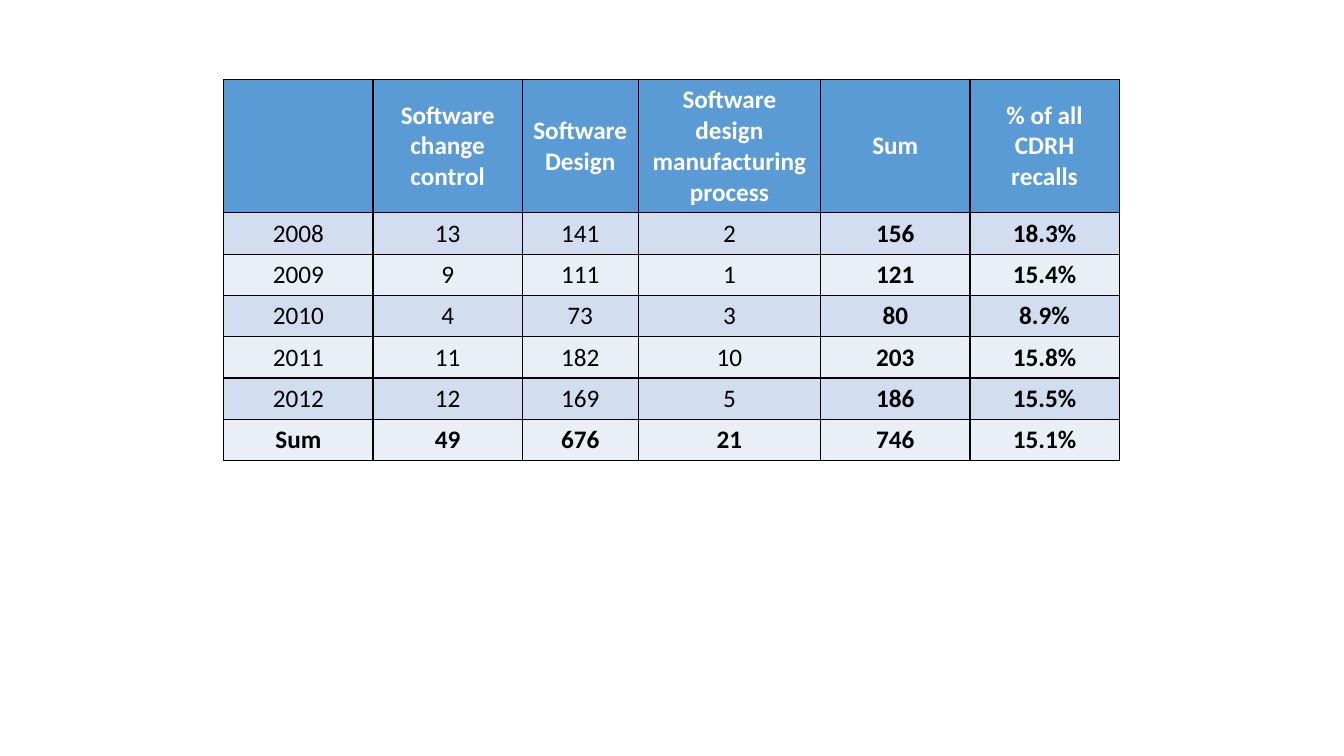
from dataclasses import dataclass

from lxml import etree
from pptx import Presentation
from pptx.dml.color import RGBColor
from pptx.enum.text import MSO_ANCHOR, PP_ALIGN
from pptx.oxml.ns import qn
from pptx.table import _Cell
from pptx.util import Inches, Pt

CENTER = PP_ALIGN.CENTER
MIDDLE = MSO_ANCHOR.MIDDLE
BLANK_LAYOUT = 6

BLACK = RGBColor(0x00, 0x00, 0x00)
WHITE = RGBColor(0xFF, 0xFF, 0xFF)
HEADER_BLUE = RGBColor(0x5B, 0x9B, 0xD5)
BANDS = (RGBColor(0xD2, 0xDE, 0xEF), RGBColor(0xEA, 0xEF, 0xF7))

FONT_NAME = "Calibri"
FONT_SIZE = Pt(18)
BORDER_WIDTH = Pt(1)
BORDER_SIDES = ("a:lnL", "a:lnR", "a:lnT", "a:lnB")

LEFT, TOP = Inches(2.22), Inches(0.79)
COLUMN_WIDTHS = [Inches(width) for width in (1.48, 1.48, 1.15, 1.81, 1.48, 1.48)]
HEADER_HEIGHT = Inches(1.32)
ROW_HEIGHT = Inches(0.41)
SUM_COLUMN = 4


@dataclass(frozen=True)
class RecallRow:
    """Software recalls by cause, with their share of all recalls."""

    label: str
    change_control: int
    design: int
    manufacturing: int
    share: str

    def texts(self) -> list[str]:
        """Return the texts of the row's cells, including the sum."""
        counts = (self.change_control, self.design, self.manufacturing)
        return [self.label, *map(str, counts), str(sum(counts)), self.share]


HEADINGS = [
    "",
    "Software change control",
    "Software\nDesign",
    "Software design manufacturing process",
    "Sum",
    "% of all CDRH recalls",
]
YEARS = [
    RecallRow("2008", 13, 141, 2, "18.3%"),
    RecallRow("2009", 9, 111, 1, "15.4%"),
    RecallRow("2010", 4, 73, 3, "8.9%"),
    RecallRow("2011", 11, 182, 10, "15.8%"),
    RecallRow("2012", 12, 169, 5, "15.5%"),
]
TOTAL = RecallRow(
    "Sum",
    sum(year.change_control for year in YEARS),
    sum(year.design for year in YEARS),
    sum(year.manufacturing for year in YEARS),
    "15.1%",
)


def add_borders(cell: _Cell) -> None:
    """Draw a solid black line on each side of a cell."""
    properties = cell._tc.get_or_add_tcPr()
    for position, side in enumerate(BORDER_SIDES):
        line = etree.Element(qn(side), w=str(BORDER_WIDTH))
        fill = etree.SubElement(line, qn("a:solidFill"))
        etree.SubElement(fill, qn("a:srgbClr"), val=str(BLACK))
        properties.insert(position, line)


def fill_cell(cell: _Cell, text: str, fill: RGBColor, color: RGBColor, bold: bool) -> None:
    """Write centred text into a cell and colour it."""
    cell.text = text
    cell.vertical_anchor = MIDDLE
    cell.fill.solid()
    cell.fill.fore_color.rgb = fill
    for para in cell.text_frame.paragraphs:
        para.alignment = CENTER
        para.font.name = FONT_NAME
        para.font.size = FONT_SIZE
        para.font.bold = bold
        para.font.color.rgb = color
    add_borders(cell)


deck = Presentation()
deck.slide_width, deck.slide_height = Inches(13.33), Inches(7.5)
page = deck.slides.add_slide(deck.slide_layouts[BLANK_LAYOUT])

body_rows = [*YEARS, TOTAL]
table = page.shapes.add_table(
    len(body_rows) + 1, len(HEADINGS), LEFT, TOP,
    sum(COLUMN_WIDTHS), HEADER_HEIGHT + ROW_HEIGHT * len(body_rows),
).table
for column, width in zip(table.columns, COLUMN_WIDTHS):
    column.width = width
for row in table.rows:
    row.height = ROW_HEIGHT
table.rows[0].height = HEADER_HEIGHT

for column_index, heading in enumerate(HEADINGS):
    fill_cell(table.cell(0, column_index), heading, HEADER_BLUE, WHITE, True)
for row_index, recall in enumerate(body_rows):
    band = BANDS[row_index % len(BANDS)]
    for column_index, text in enumerate(recall.texts()):
        bold = recall is TOTAL or column_index >= SUM_COLUMN
        fill_cell(table.cell(row_index + 1, column_index), text, band, BLACK, bold)

deck.save("out.pptx")
